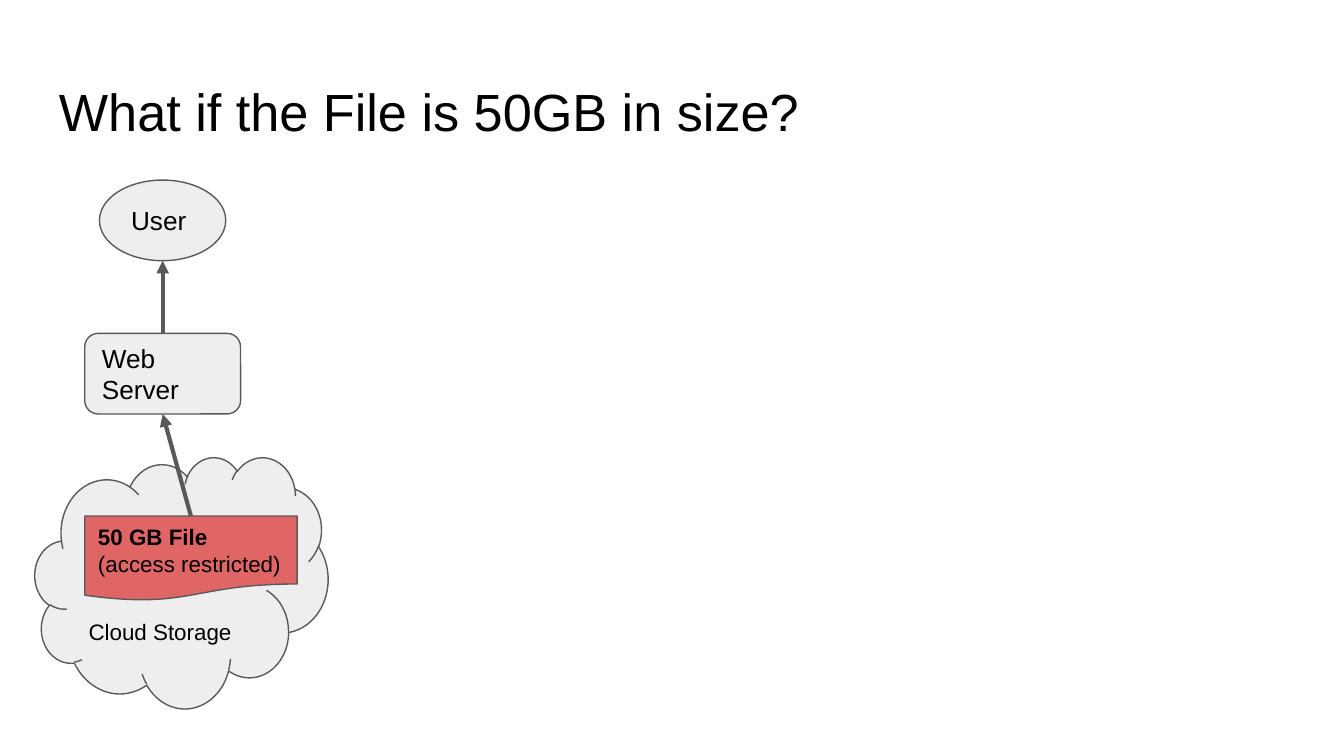
from lxml.etree import SubElement
from pptx import Presentation
from pptx.dml.color import RGBColor
from pptx.enum.shapes import MSO_CONNECTOR as Link, MSO_SHAPE as Kind
from pptx.enum.text import MSO_ANCHOR as Anchor, PP_ALIGN as Align
from pptx.oxml.ns import qn
from pptx.util import Pt

INK, EDGE, PALE, RED = "000000", "595959", "EEEEEE", "E06666"
TITLE = ("What if the File is 50GB in size?", (24.5, 35.3, 671, 45.4))
NODES = {
    "cloud": dict(kind=Kind.CLOUD, box=(18.7, 244.8, 157, 134.6), fill=PALE,
                  lines=["Cloud Storage"], size=12, anchor=Anchor.BOTTOM),
    "user": dict(kind=Kind.OVAL, box=(53.3, 96.5, 67.7, 43.2), fill=PALE,
                 lines=["User"], size=14),
    "file": dict(kind=Kind.FLOWCHART_DOCUMENT, box=(45.4, 276.5, 113.8, 45.4), fill=RED,
                 lines=["50 GB File", "(access restricted)"], size=12, bold=1),
    "server": dict(kind=Kind.ROUNDED_RECTANGLE, box=(45.4, 178.6, 83.5, 43.2), fill=PALE,
                   lines=["Web Server"], size=14),
}
LINKS = [("server", "user"), ("file", "server")]


def color(code):
    return RGBColor.from_string(code)


def write(shape, lines, size=12, anchor=Anchor.MIDDLE, bold=0):
    frame = shape.text_frame
    frame.word_wrap = True
    frame.vertical_anchor = anchor
    frame.margin_left = frame.margin_right = Pt(7.2)
    frame.margin_top = frame.margin_bottom = Pt(7.2)
    for i, line in enumerate(lines):
        para = frame.add_paragraph() if i else frame.paragraphs[0]
        para.alignment = Align.LEFT
        run = para.add_run()
        run.text = line
        font = run.font
        font.name, font.size, font.bold = "Arial", Pt(size), i < bold
        font.color.rgb = color(INK)


def draw(slide, kind, box, fill, **text):
    shape = slide.shapes.add_shape(kind, *map(Pt, box))
    shape.shadow.inherit = False
    shape.fill.solid()
    shape.fill.fore_color.rgb = color(fill)
    shape.line.color.rgb = color(EDGE)
    shape.line.width = Pt(0.75)
    write(shape, **text)
    return shape


def link(slide, low, high):
    line = slide.shapes.add_connector(
        Link.STRAIGHT, low.left + low.width // 2, low.top,
        high.left + high.width // 2, high.top + high.height)
    line.line.color.rgb = color(EDGE)
    line.line.width = Pt(2.25)
    props = line._element.spPr
    SubElement(props.find(qn("a:ln")), qn("a:tailEnd"), type="triangle")
    SubElement(props, qn("a:effectLst"))


def main():
    deck = Presentation()
    deck.slide_width, deck.slide_height = Pt(720), Pt(405)
    slide = deck.slides.add_slide(deck.slide_layouts[6])
    title, box = TITLE
    write(slide.shapes.add_textbox(*map(Pt, box)), [title], size=28, anchor=Anchor.TOP)
    shapes = {name: draw(slide, **node) for name, node in NODES.items()}
    for low, high in LINKS:
        link(slide, shapes[low], shapes[high])
    deck.save("out.pptx")


if __name__ == "__main__":
    main()
